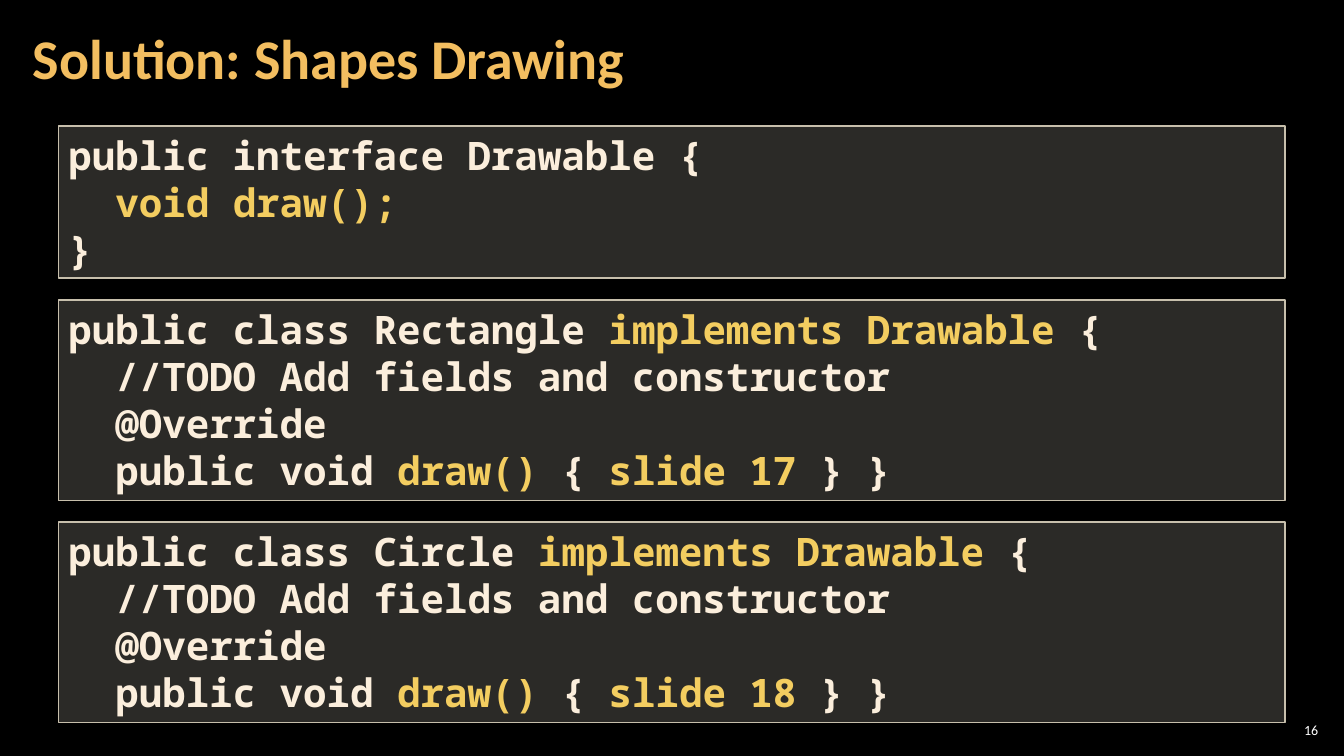
import pptx
import pptx.util
import pptx.dml.color
import pptx.enum.shapes
import pptx.enum.text
import pptx.oxml

Pt = pptx.util.Pt
RGB = pptx.dml.color.RGBColor
Align = pptx.enum.text.PP_ALIGN
Anchor = pptx.enum.text.MSO_ANCHOR

BLACK = RGB(0x00, 0x00, 0x00)
WHITE = RGB(0xFF, 0xFF, 0xFF)
ORANGE = RGB(0xF3, 0xBE, 0x60)
YELLOW = RGB(0xF3, 0xCD, 0x60)
CREAM = RGB(0xFB, 0xEE, 0xDC)
PANEL = RGB(0xD9, 0xD5, 0xC7)
BORDER = RGB(0xC7, 0xBF, 0xAC)

# Backticks enclose the highlighted code.
DRAWABLE = ["public interface Drawable {", "  `void draw();`", "}"]


def shape_code(name, page):
    """Return the code lines of a class that implements Drawable."""
    return [
        f"public class {name} `implements Drawable `{{",
        "  //TODO Add fields and constructor",
        "  @Override",
        f"  public void `draw() `{{ `slide {page} `}} }}",
    ]


def set_font(font, name, size, color=None, bold=False):
    font.name, font.size, font.bold = name, Pt(size), bold
    if color is not None:
        font.color.rgb = color


def add_label(slide, box, text, size, color, bold=False, align=Align.LEFT, side=3):
    frame = slide.shapes.add_textbox(*map(Pt, box)).text_frame
    frame.word_wrap = True
    frame.vertical_anchor = Anchor.MIDDLE
    frame.margin_left = frame.margin_right = Pt(side)
    frame.margin_top = frame.margin_bottom = Pt(3)
    line = frame.paragraphs[0]
    line.text, line.alignment = text, align
    set_font(line.font, "Calibri", size, color, bold)
    return line


def add_code(slide, box, lines):
    panel = slide.shapes.add_shape(
        pptx.enum.shapes.MSO_SHAPE.RECTANGLE, *map(Pt, box))
    panel.shadow.inherit = False
    panel.fill.solid()
    panel.fill.fore_color.rgb = PANEL
    tint = panel.fill._xPr.find(".//" + pptx.oxml.ns.qn("a:srgbClr"))
    tint.append(pptx.oxml.parse_xml(
        f'<a:alpha {pptx.oxml.ns.nsdecls("a")} val="20000"/>'))
    panel.line.color.rgb = BORDER
    panel.line.width = Pt(1)

    frame = panel.text_frame
    frame.word_wrap = True
    frame.auto_size = pptx.enum.text.MSO_AUTO_SIZE.SHAPE_TO_FIT_TEXT
    frame.vertical_anchor = Anchor.TOP
    for row, code in enumerate(lines):
        line = frame.add_paragraph() if row else frame.paragraphs[0]
        line.alignment = Align.LEFT
        set_font(line.font, "Noto Sans Mono", 28, bold=True)
        for part, text in enumerate(code.split("`")):
            if text:
                run = line.add_run()
                run.text = text
                run.font.color.rgb = YELLOW if part % 2 else CREAM


def add_stack(slide, box, blocks, gap=15.5):
    """Stack code panels from the top of the box, each as tall as its lines."""
    left, top, width = box
    for lines in blocks:
        height = 5 + 34.57 * len(lines)
        add_code(slide, (left, top, width, height), lines)
        top += height + gap


def main():
    deck = pptx.Presentation()
    deck.slide_width, deck.slide_height = Pt(960), Pt(540)
    slide = deck.slides.add_slide(deck.slide_layouts[6])
    slide.background.fill.solid()
    slide.background.fill.fore_color.rgb = BLACK

    add_label(slide, (910.8, 514, 33.8, 15), "16", 10, WHITE, align=Align.RIGHT)
    title = add_label(slide, (15, 0, 754, 87), "Solution: Shapes Drawing",
                      40, ORANGE, bold=True, side=8.5)
    title.line_spacing = 0.9
    add_stack(slide, (41.8, 90, 876.2),
              [DRAWABLE, shape_code("Rectangle", 17), shape_code("Circle", 18)])
    deck.save("out.pptx")


if __name__ == "__main__":
    main()
